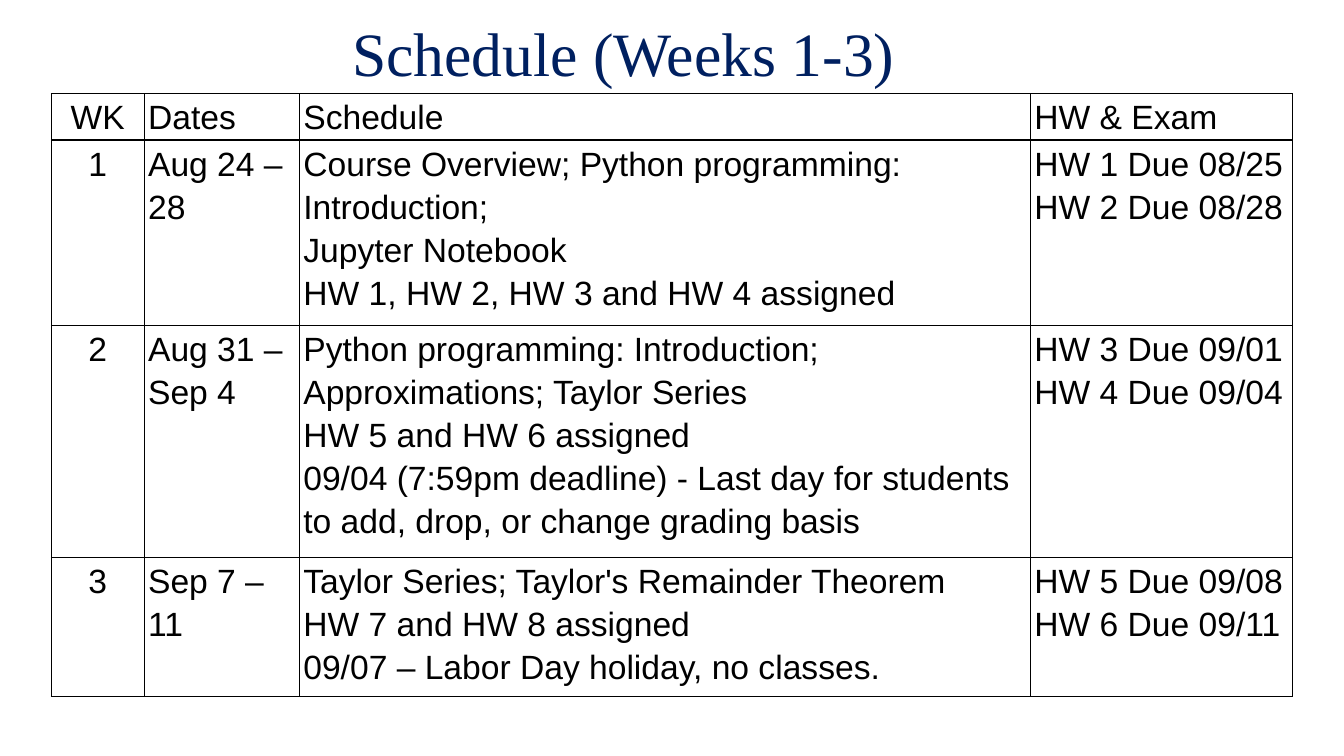
from lxml import etree
from pptx import Presentation
from pptx.dml.color import RGBColor
from pptx.enum.text import MSO_ANCHOR, PP_ALIGN
from pptx.oxml.ns import qn
from pptx.util import Inches, Pt

CENTER, LEFT = PP_ALIGN.CENTER, PP_ALIGN.LEFT
TOP, MIDDLE = MSO_ANCHOR.TOP, MSO_ANCHOR.MIDDLE
NAVY = RGBColor(0x00, 0x20, 0x60)
BLACK = RGBColor(0x00, 0x00, 0x00)

TITLE_FONT = {"name": "Times New Roman", "size": Pt(44), "bold": False}
CELL_FONT = {"name": "Arial", "size": Pt(24), "bold": False}
CELL_FORMAT = {
    "margin_left": Inches(0.04),
    "margin_right": Inches(0.04),
    "margin_top": 0,
    "margin_bottom": 0,
    "vertical_anchor": TOP,
}

COL_WIDTHS = [0.92, 1.54, 7.25, 2.6]
ROW_HEIGHTS = [0.46, 1.84, 2.3, 1.38]
SCHEDULE = [
    [["WK"], ["Dates"], ["Schedule"], ["HW & Exam"]],
    [
        ["1"],
        ["Aug 24 – 28"],
        [
            "Course Overview; Python programming: Introduction;",
            "Jupyter Notebook",
            "HW 1, HW 2, HW 3 and HW 4 assigned",
        ],
        ["HW 1 Due 08/25", "HW 2 Due 08/28"],
    ],
    [
        ["2"],
        ["Aug 31 – Sep 4"],
        [
            "Python programming: Introduction; Approximations; Taylor Series",
            "HW 5 and HW 6 assigned",
            "09/04 (7:59pm deadline) - Last day for students to add, drop, or change grading basis",
        ],
        ["HW 3 Due 09/01", "HW 4 Due 09/04"],
    ],
    [
        ["3"],
        ["Sep 7 – 11"],
        [
            "Taylor Series; Taylor's Remainder Theorem",
            "HW 7 and HW 8 assigned",
            "09/07 – Labor Day holiday, no classes.",
        ],
        ["HW 5 Due 09/08", "HW 6 Due 09/11"],
    ],
]


def apply_format(target, values):
    for name, value in values.items():
        setattr(target, name, value)


def add_run(p, text, font, color):
    r = p.add_run()
    r.text = text
    apply_format(r.font, font)
    r.font.color.rgb = color


def set_title(s, text):
    sp = s.shapes.title
    apply_format(sp, {
        "left": Inches(-0.3),
        "top": Inches(0.09),
        "width": Inches(12.97),
        "height": Inches(0.84),
    })
    tf = sp.text_frame
    apply_format(tf, {"word_wrap": True, "vertical_anchor": MIDDLE})
    p = tf.paragraphs[0]
    p.alignment = CENTER
    add_run(p, text, TITLE_FONT, NAVY)


def set_borders(cell):
    tc_pr = cell._tc.get_or_add_tcPr()
    for side in ("lnL", "lnR", "lnT", "lnB"):
        ln = etree.SubElement(tc_pr, qn(f"a:{side}"), w=str(Pt(1)))
        fill = etree.SubElement(ln, qn("a:solidFill"))
        etree.SubElement(fill, qn("a:srgbClr"), val=str(BLACK))


def fill_cell(cell, lines, alignment):
    apply_format(cell, CELL_FORMAT)
    set_borders(cell)
    cell.fill.background()
    tf = cell.text_frame
    for i, line in enumerate(lines):
        p = tf.add_paragraph() if i else tf.paragraphs[0]
        apply_format(p, {"alignment": alignment, "line_spacing": 1.15})
        add_run(p, line, CELL_FONT, BLACK)


def add_schedule(s):
    table = s.shapes.add_table(
        len(ROW_HEIGHTS), len(COL_WIDTHS), Inches(0.51), Inches(0.93),
        Inches(sum(COL_WIDTHS)), Inches(sum(ROW_HEIGHTS)),
    ).table
    apply_format(table, {"first_row": False, "horz_banding": False})
    for col, width in zip(table.columns, COL_WIDTHS):
        col.width = Inches(width)
    for row, height, entries in zip(table.rows, ROW_HEIGHTS, SCHEDULE):
        row.height = Inches(height)
        for i, (cell, lines) in enumerate(zip(row.cells, entries)):
            fill_cell(cell, lines, LEFT if i else CENTER)


def main():
    prs = Presentation()
    prs.slide_width, prs.slide_height = Inches(13.33), Inches(7.5)
    s = prs.slides.add_slide(prs.slide_layouts.get_by_name("Title Only"))
    set_title(s, "Schedule (Weeks 1-3)")
    add_schedule(s)
    prs.save("out.pptx")


if __name__ == "__main__":
    main()
